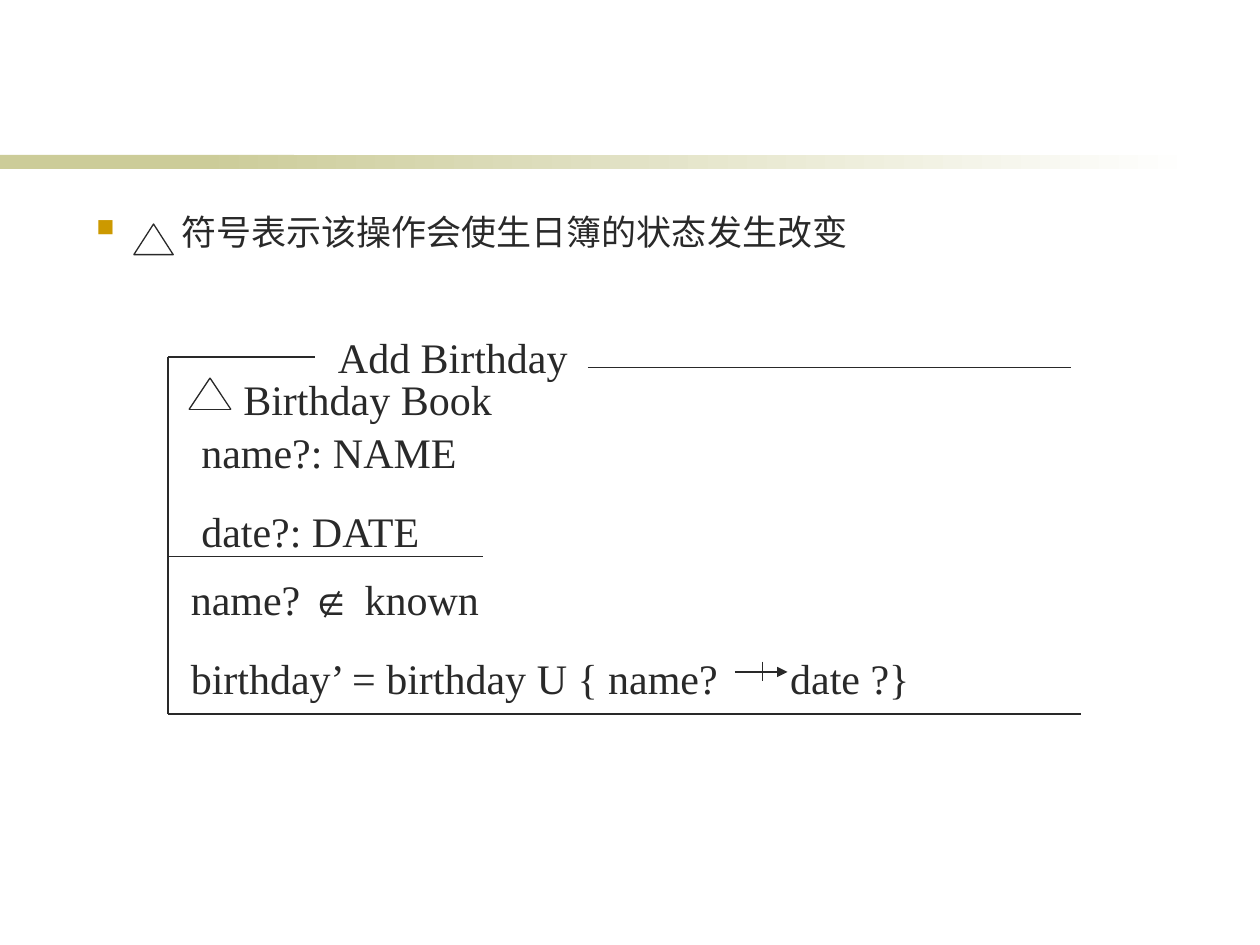
"""Build a slide explaining the Z schema for the Add Birthday operation."""
from lxml import etree
from pptx import Presentation
from pptx.dml.color import RGBColor
from pptx.enum.shapes import MSO_CONNECTOR as Connector, MSO_SHAPE as Shape
from pptx.oxml.ns import qn
from pptx.util import Pt

COLORS = {"ink": "292929", "band": "CCCC99", "fade": "FFFFFF", "bullet": "CC9900"}
SERIF, SANS = "Times New Roman", "Arial"


def add_text(slide, left, top, width, height, paragraphs, size=24):
    box = slide.shapes.add_textbox(Pt(left), Pt(top), Pt(width), Pt(height))
    box.text_frame.word_wrap = True
    for index, runs in enumerate(paragraphs):
        paragraph = box.text_frame.paragraphs[0] if index == 0 else box.text_frame.add_paragraph()
        if index:
            paragraph.space_before = Pt(16.5)
        for text, font_name in runs:
            run = paragraph.add_run()
            run.text = text
            run.font.name = font_name
            run.font.size = Pt(size)
            run.font.color.rgb = RGBColor.from_string(COLORS["ink"])
    return box.text_frame.paragraphs


def add_line(slide, x1, y1, x2, y2):
    line = slide.shapes.add_connector(Connector.STRAIGHT, Pt(x1), Pt(y1), Pt(x2), Pt(y2))
    line.line.color.rgb = RGBColor.from_string(COLORS["ink"])
    line.line.width = Pt(0.75)
    etree.SubElement(line._element.spPr, qn("a:effectLst"))
    return line


presentation = Presentation()
presentation.slide_width, presentation.slide_height = Pt(720), Pt(540)
slide = presentation.slides.add_slide(presentation.slide_layouts[6])

for left, width, fades in [(0, 168, False), (114, 570, True)]:
    band = slide.shapes.add_shape(Shape.RECTANGLE, Pt(left), Pt(88.5), Pt(width), Pt(8))
    band.shadow.inherit = False
    band.line.fill.background()
    if fades:
        band.fill.gradient()
        band.fill.gradient_angle = 0
        for stop, name in zip(band.fill.gradient_stops, ["band", "fade"]):
            stop.color.rgb = RGBColor.from_string(COLORS[name])
    else:
        band.fill.solid()
        band.fill.fore_color.rgb = RGBColor.from_string(COLORS["band"])

formulas = add_text(slide, 102, 324, 576, 80, [
    [("name? ", SERIF), ("∉ ", SANS), ("known", SERIF)],
    [("birthday’ = birthday U { name?\tdate ?}", SERIF)],
])
tabs = etree.SubElement(formulas[1]._p.get_or_add_pPr(), qn("a:tabLst"))
etree.SubElement(tabs, qn("a:tab"), pos=str(Pt(342.5)), algn="l")

add_text(slide, 186, 186, 156, 36, [[("Add Birthday", SERIF)]])
add_text(slide, 132, 210, 252, 36, [[("Birthday Book", SERIF)]])
add_text(slide, 108, 240, 246, 80, [[("name?: NAME", SERIF)], [("date?: DATE", SERIF)]])

schema_lines = [(96, 204, 180, 204), (336, 210, 612, 210), (96, 204, 96, 408),
                (96, 408, 618, 408), (96, 318, 276, 318)]
delta_lines = [(120, 216, 108, 234), (120, 216, 132, 234), (108, 234, 132, 234)]
for ends in schema_lines + delta_lines:
    add_line(slide, *ends)

arrow = add_line(slide, 420, 384, 450, 384)
etree.SubElement(arrow.line._get_or_add_ln(), qn("a:tailEnd"), type="triangle")
add_line(slide, 435.6, 378, 435.6, 389)

note = add_text(slide, 48, 116.6, 623.5, 158.4,
                [[("符号表示该操作会使生日簿的状态发生改变", SANS)]], 20)[0]
properties = note._p.get_or_add_pPr()
properties.set("marL", str(Pt(48.5)))
properties.set("indent", str(-Pt(48.5)))
bullet_color = etree.SubElement(properties, qn("a:buClr"))
etree.SubElement(bullet_color, qn("a:srgbClr"), val=COLORS["bullet"])
etree.SubElement(properties, qn("a:buSzPct"), val="70000")
etree.SubElement(properties, qn("a:buChar"), char="■")

delta = slide.shapes.add_shape(Shape.ISOSCELES_TRIANGLE, Pt(76.5), Pt(128), Pt(22.5), Pt(17.5))
delta.shadow.inherit = False
delta.fill.background()
delta.line.color.rgb = RGBColor.from_string(COLORS["ink"])
delta.line.width = Pt(0.75)

presentation.save("out.pptx")
